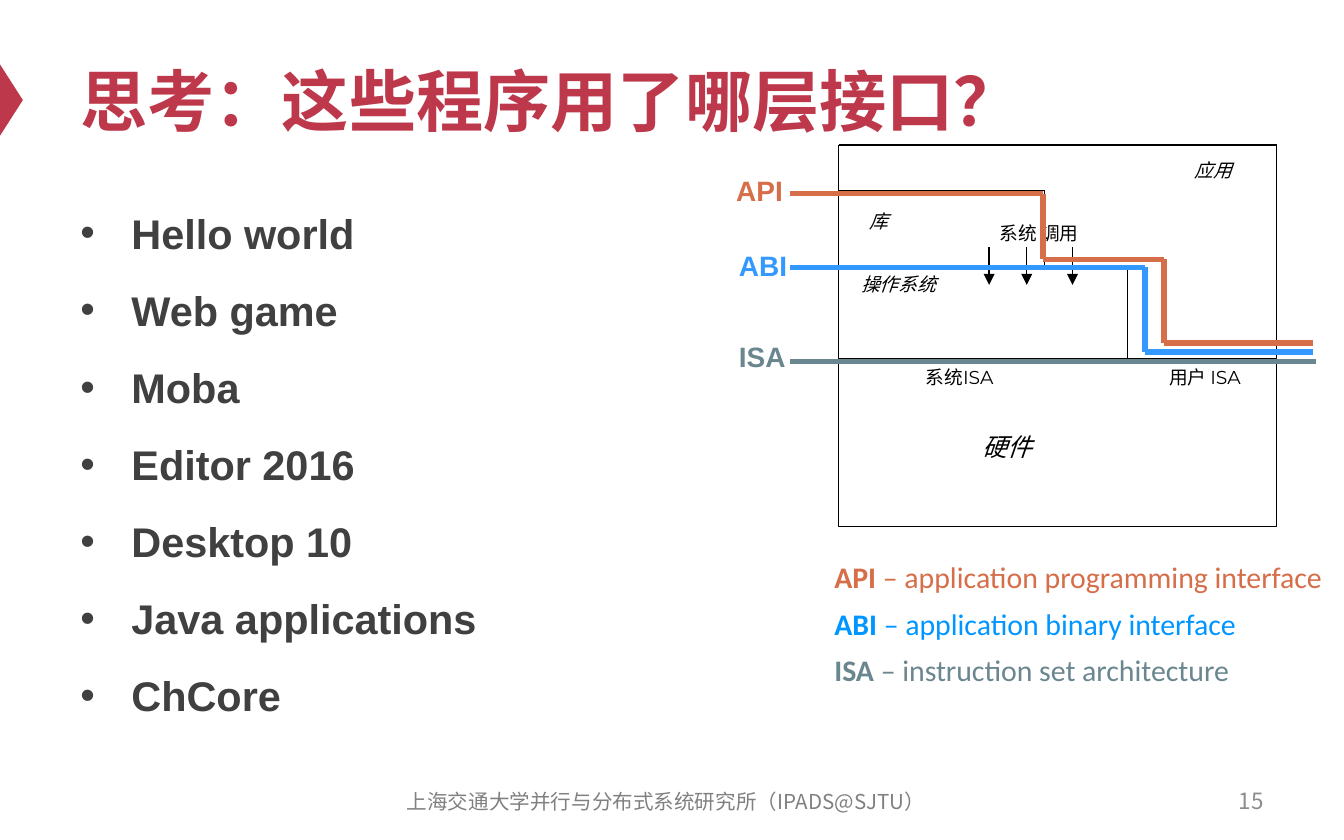
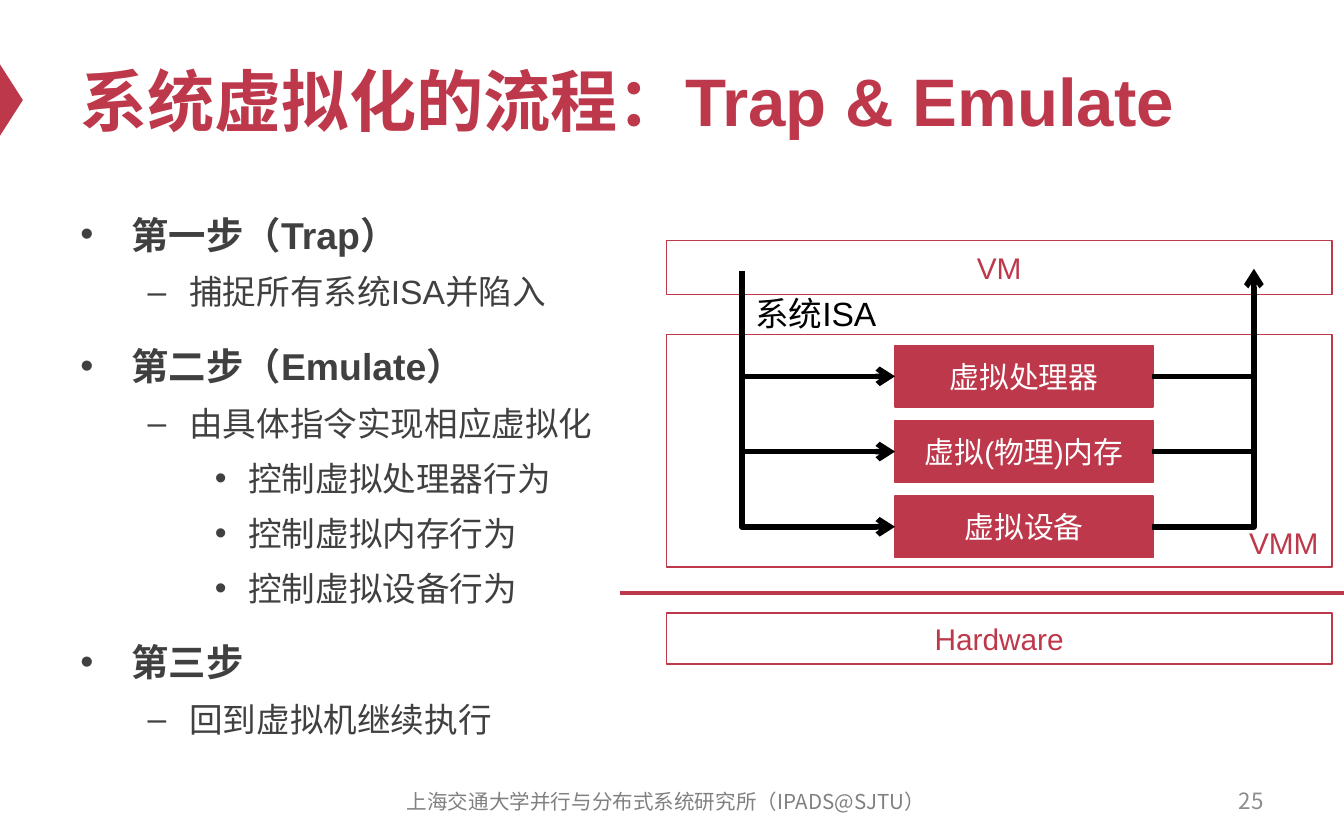
"""Build two lecture slides on system interfaces and on trap-and-emulate."""
import pptx
import pptx.util
import pptx.dml.color
import pptx.enum.shapes
import pptx.enum.text
import pptx.oxml.ns
from lxml import etree

COLS, ROWS = 100, 62.5
WIDE, HIGH = pptx.util.Inches(10), pptx.util.Inches(6.25)
HUES = {
    "red": "BE384B", "dark": "404040", "gray": "808080", "pale": "8C8C8C",
    "black": "000000", "white": "FFFFFF", "api": "D66E49", "abi": "3399FF",
    "blue": "0096FF", "isa": "6A868F",
}
HAN = "Noto Sans CJK SC"
FOOT = "上海交通大学并行与分布式系统研究所（IPADS@SJTU）"
SHAPE = pptx.enum.shapes.MSO_SHAPE
LINK = pptx.enum.shapes.MSO_CONNECTOR
ALIGN = pptx.enum.text.PP_ALIGN
ANCHOR = pptx.enum.text.MSO_ANCHOR
LEVELS = [(0.38, -0.38, "•"), (0.81, -0.31, "–"), (1.25, -0.25, "•")]


def col(num):
    """Turn grid columns into a length."""
    return round(WIDE * num / COLS)


def row(num):
    """Turn grid rows into a length."""
    return round(HIGH * num / ROWS)


def place(box):
    """Turn a grid box into left, top, width and height."""
    left, top, wide, high = box
    return col(left), row(top), col(wide), row(high)


def hue(name):
    """Look up a colour by name."""
    return pptx.dml.color.RGBColor.from_string(HUES[name])


def sub(node, tag, **atts):
    """Append a drawing element to a node."""
    return etree.SubElement(node, pptx.oxml.ns.qn(tag), **atts)


def add_run(para, text, size, color, bold=False, slant=False, face="Arial"):
    """Add one styled run to a paragraph."""
    run = para.add_run()
    run.text = text
    font = run.font
    font.size, font.bold, font.italic = pptx.util.Pt(size), bold, slant
    font.color.rgb = hue(color)
    font.name = face
    sub(run._r.get_or_add_rPr(), "a:ea", typeface=HAN)


def add_text(slide, box, runs, align=ALIGN.LEFT, anchor=ANCHOR.TOP, wrap=True):
    """Add a one-paragraph text box made of runs."""
    frame = slide.shapes.add_textbox(*place(box)).text_frame
    frame.word_wrap, frame.vertical_anchor = wrap, anchor
    para = frame.paragraphs[0]
    para.alignment = align
    for text, style in runs:
        add_run(para, text, **style)
    return para


def add_list(slide, items, space):
    """Add the bulleted body; each item is level, text, size."""
    frame = slide.shapes.add_textbox(*place((5, 14.6, 90, 41.2))).text_frame
    frame.word_wrap = True
    for pos, (level, text, size) in enumerate(items):
        para = frame.add_paragraph() if pos else frame.paragraphs[0]
        para.level, para.line_spacing = level, space
        if pos:
            para.space_before = pptx.util.Pt(0.2 * size if level else 12)
        left, hang, mark = LEVELS[level]
        props = para._p.get_or_add_pPr()
        props.set("marL", str(pptx.util.Inches(left)))
        props.set("indent", str(pptx.util.Inches(hang)))
        sub(props, "a:buFont", typeface="Arial")
        sub(props, "a:buChar", char=mark)
        add_run(para, text, size, "dark", bold=not level)


def add_box(slide, box, fill=None, line=None, kind=SHAPE.RECTANGLE):
    """Add a preset shape with an optional fill and outline."""
    shape = slide.shapes.add_shape(kind, *place(box))
    shape.shadow.inherit = False
    if fill:
        shape.fill.solid()
        shape.fill.fore_color.rgb = hue(fill)
    else:
        shape.fill.background()
    if line:
        shape.line.color.rgb = hue(line)
        shape.line.width = pptx.util.Pt(0.75)
    else:
        shape.line.fill.background()
    return shape


def add_block(slide, box, text, fill="white", color="red",
              align=ALIGN.CENTER, anchor=ANCHOR.MIDDLE):
    """Add a red-edged block with a label."""
    frame = add_box(slide, box, fill, "red").text_frame
    frame.word_wrap, frame.vertical_anchor = True, anchor
    frame.paragraphs[0].alignment = align
    add_run(frame.paragraphs[0], text, 16, color)


def add_line(slide, start, end, color="black", width=0.75,
             head=None, tail=None, bent=False):
    """Add a straight or one-corner connector between grid points."""
    kind = LINK.ELBOW if bent else LINK.STRAIGHT
    line = slide.shapes.add_connector(
        kind, col(start[0]), row(start[1]), col(end[0]), row(end[1]))
    props = line._element.spPr
    if bent:
        props.find(pptx.oxml.ns.qn("a:prstGeom")).set("prst", "bentConnector2")
    line.line.color.rgb = hue(color)
    line.line.width = pptx.util.Pt(width)
    for tag, form in (("a:headEnd", head), ("a:tailEnd", tail)):
        if form:
            sub(line.line._get_or_add_ln(), tag, type=form)
    sub(props, "a:effectLst")


def add_route(slide, points, color, width=3):
    """Join grid points by straight lines."""
    for start, end in zip(points, points[1:]):
        add_line(slide, start, end, color, width)


def add_base(deck, title, page):
    """Add a slide with the marker, title, page number and footer."""
    slide = deck.slides.add_slide(deck.slide_layouts[6])
    mark = add_box(slide, (-1.8, 6.6, 5.3, 1.7), "red", kind=SHAPE.ISOSCELES_TRIANGLE)
    mark.rotation = 90
    add_text(slide, (5, 2.5, 90, 9.8),
             [(title, dict(size=36, color="red", bold=True))], anchor=ANCHOR.MIDDLE)
    add_text(slide, (71.7, 57.9, 23.3, 3.3),
             [(page, dict(size=12, color="pale", face=HAN))],
             ALIGN.RIGHT, ANCHOR.MIDDLE)
    add_text(slide, (27.9, 58, 43.3, 3.3),
             [(FOOT, dict(size=11, color="gray", face=HAN))],
             ALIGN.CENTER, ANCHOR.MIDDLE)
    return slide


def draw_stack(slide):
    """Draw the layers of hardware, system, library and application."""
    for box in ((62.4, 26.7, 32.6, 12.5), (62.4, 19.8, 21.5, 6.9),
                (62.4, 14.2, 15.3, 5.6)):
        add_box(slide, box, line="black")
    add_route(slide, [(62.4, 14.2), (62.4, 10.8), (95, 10.8), (95, 26.7)],
              "black", 0.75)
    labels = [
        ("硬件", (72.1, 31.6, 5.8, 3.3), 13.3, True, "Montserrat"),
        ("系统ISA", (67.9, 26.7, 7.5, 2.7), 10, False, "Montserrat"),
        ("用户 ISA", (86, 26.7, 7.9, 2.7), 10, False, "Montserrat"),
        ("操作系统", (63.1, 19.8, 7.6, 2.7), 10, True, "Montserrat"),
        ("系统 调用", (73.4, 16, 8.4, 2.7), 10, False, "Arial"),
        ("库", (63.7, 15.1, 3.4, 2.7), 10, True, "Montserrat"),
        ("应用", (87.9, 11.3, 4.8, 2.7), 10, True, "Montserrat"),
    ]
    for text, box, size, slant, face in labels:
        style = dict(size=size, color="black", slant=slant, face=face)
        add_text(slide, box, [(text, style)], wrap=False)
    for left in (73.6, 76.4, 79.8):
        add_line(slide, (left, 18.4), (left, 21.2), tail="triangle")


def draw_faces(slide):
    """Draw the three interface routes with their labels and legend."""
    faces = [
        ("ISA", "isa", (54, 24.8), [(58.8, 26.9), (97.9, 26.9)]),
        ("ABI", "abi", (54, 18),
         [(58.8, 19.9), (85.2, 19.9), (85.2, 26.2), (97.7, 26.2)]),
        ("API", "api", (53.8, 12.4),
         [(58.8, 14.4), (77.6, 14.4), (77.6, 19.3), (86.6, 19.3),
          (86.6, 25.5), (97.7, 25.5)]),
    ]
    for name, color, spot, points in faces:
        add_route(slide, points, color)
        add_text(slide, (*spot, 5.6, 3.5),
                 [(name, dict(size=15, color=color, bold=True))], wrap=False)
    terms = [("API", "application programming interface", "api"),
             ("ABI", "application binary interface", "blue"),
             ("ISA", "instruction set architecture", "isa")]
    for pos, (name, term, color) in enumerate(terms):
        style = dict(size=16, color=color, face="Calibri")
        para = add_text(slide, (61.1, 41.4 + 3.45 * pos, 41, 4.2),
                        [(name, dict(style, bold=True)), (f" – {term}", style)])
        para.line_spacing = 0.9


def draw_trap(slide):
    """Draw the path from the guest through the monitor and back."""
    add_block(slide, (49.6, 24.9, 49.5, 17.3), "VMM",
              align=ALIGN.RIGHT, anchor=ANCHOR.BOTTOM)
    add_block(slide, (49.6, 45.6, 49.5, 3.8), "Hardware")
    add_block(slide, (49.6, 17.9, 49.5, 4), "VM")
    add_line(slide, (46.1, 44.1), (100.9, 44.1), "red", 2)
    add_text(slide, (55.2, 21.3, 11.4, 3.9),
             [("系统ISA", dict(size=18, color="black"))])
    parts = ["虚拟处理器", "虚拟(物理)内存", "虚拟设备"]
    for pos, text in enumerate(parts):
        top = 25.7 + 5.6 * pos
        mid = top + 2.3
        add_block(slide, (66.6, top, 19.2, 4.6), text, "red", "white")
        if pos < len(parts) - 1:
            add_line(slide, (55.2, mid), (66.6, mid), width=3, tail="arrow")
            add_line(slide, (85.7, mid), (93.3, mid), width=3)
        else:
            add_line(slide, (66.6, mid), (55.2, 20.2), width=3,
                     head="arrow", bent=True)
            add_line(slide, (85.7, mid), (93.3, 20), width=3,
                     tail="arrow", bent=True)


def main():
    """Build both slides and save the deck."""
    deck = pptx.Presentation()
    deck.slide_width, deck.slide_height = WIDE, HIGH

    slide = add_base(deck, "思考：这些程序用了哪层接口？", "15")
    names = ["Hello world", "Web game", "Moba", "Editor 2016", "Desktop 10",
             "Java applications", "ChCore"]
    add_list(slide, [(0, name, 22.2) for name in names], 1.1)
    draw_stack(slide)
    draw_faces(slide)

    slide = add_base(deck, "系统虚拟化的流程：Trap & Emulate", "25")
    steps = [
        (0, "第一步（Trap）"), (1, "捕捉所有系统ISA并陷入"),
        (0, "第二步（Emulate）"), (1, "由具体指令实现相应虚拟化"),
        (2, "控制虚拟处理器行为"), (2, "控制虚拟内存行为"),
        (2, "控制虚拟设备行为"),
        (0, "第三步"), (1, "回到虚拟机继续执行"),
    ]
    add_list(slide, [(level, text, 18 if level else 20) for level, text in steps], 1.2)
    draw_trap(slide)

    deck.save("out.pptx")


if __name__ == "__main__":
    main()
